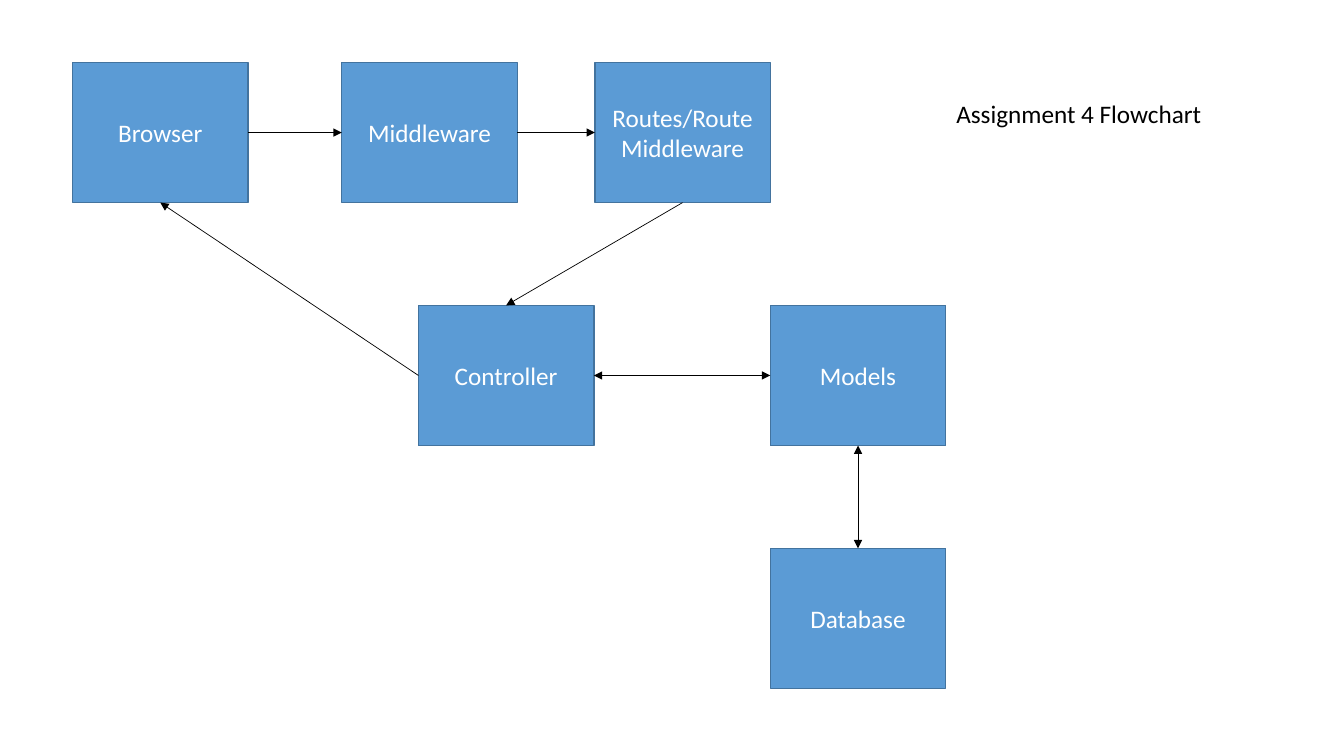
from lxml import etree
from pptx import Presentation
from pptx.dml.color import RGBColor
from pptx.enum.shapes import MSO_CONNECTOR, MSO_SHAPE
from pptx.enum.text import MSO_ANCHOR, MSO_AUTO_SIZE, PP_ALIGN
from pptx.oxml.ns import qn
from pptx.util import Inches, Pt

PROCESS = MSO_SHAPE.FLOWCHART_PROCESS
STRAIGHT = MSO_CONNECTOR.STRAIGHT
CENTER = PP_ALIGN.CENTER
MIDDLE = MSO_ANCHOR.MIDDLE
FIT_SHAPE = MSO_AUTO_SIZE.SHAPE_TO_FIT_TEXT

COLORS = {"fill": "5B9BD5", "border": "43739E", "label": "FFFFFF", "ink": "000000"}
FONT = "Calibri"
BOX_WIDTH, BOX_HEIGHT = 1.74, 1.39
TOP_ROW, ROW_STEP = 0.62, 2.41
TOP, LEFT, BOTTOM, RIGHT = range(4)

STEPS = {
    "Browser": (0.72, 0),
    "Middleware": (3.39, 0),
    "Routes/Route Middleware": (5.9, 0),
    "Controller": (4.15, 1),
    "Models": (7.64, 1),
    "Database": (7.64, 2),
}
FLOWS = [
    ("Browser", RIGHT, "Middleware", LEFT, False),
    ("Middleware", RIGHT, "Routes/Route Middleware", LEFT, False),
    ("Routes/Route Middleware", BOTTOM, "Controller", TOP, False),
    ("Controller", RIGHT, "Models", LEFT, True),
    ("Models", BOTTOM, "Database", TOP, True),
    ("Controller", LEFT, "Browser", BOTTOM, False),
]


def color(name):
    return RGBColor.from_string(COLORS[name])


def write_text(frame, text, *, ink, size=18, align=CENTER):
    frame.word_wrap = True
    para = frame.paragraphs[0]
    para.alignment = align
    span = para.add_run()
    span.text = text
    span.font.name = FONT
    span.font.size = Pt(size)
    span.font.color.rgb = color(ink)


def add_step(page, text, left, row):
    top = TOP_ROW + row * ROW_STEP
    box = page.shapes.add_shape(
        PROCESS, Inches(left), Inches(top), Inches(BOX_WIDTH), Inches(BOX_HEIGHT)
    )
    box.shadow.inherit = False
    box.fill.solid()
    box.fill.fore_color.rgb = color("fill")
    box.line.color.rgb = color("border")
    box.line.width = Pt(1)
    box.text_frame.vertical_anchor = MIDDLE
    write_text(box.text_frame, text, ink="label")
    return box


def add_flow(page, source, source_side, target, target_side, both_ways):
    arrow = page.shapes.add_connector(STRAIGHT, 0, 0, 0, 0)
    arrow.begin_connect(source, source_side)
    arrow.end_connect(target, target_side)
    arrow.line.color.rgb = color("ink")
    arrow.line.width = Pt(0.5)
    line = arrow.line._get_or_add_ln()
    for end in ("a:headEnd", "a:tailEnd") if both_ways else ("a:tailEnd",):
        etree.SubElement(line, qn(end), type="triangle")
    etree.SubElement(arrow._element.spPr, qn("a:effectLst"))


def add_title(page, text, left, top, width, height):
    box = page.shapes.add_textbox(
        Inches(left), Inches(top), Inches(width), Inches(height)
    )
    write_text(box.text_frame, text, ink="ink")
    box.text_frame.auto_size = FIT_SHAPE


def main():
    deck = Presentation()
    deck.slide_width, deck.slide_height = Inches(13.33), Inches(7.5)
    page = deck.slides.add_slide(deck.slide_layouts[6])
    boxes = {name: add_step(page, name, *place) for name, place in STEPS.items()}
    for source, source_side, target, target_side, both_ways in FLOWS:
        add_flow(
            page, boxes[source], source_side, boxes[target], target_side, both_ways
        )
    add_title(page, "Assignment 4 Flowchart", 8.73, 0.93, 3.94, 0.4)
    deck.save("out.pptx")


main()
